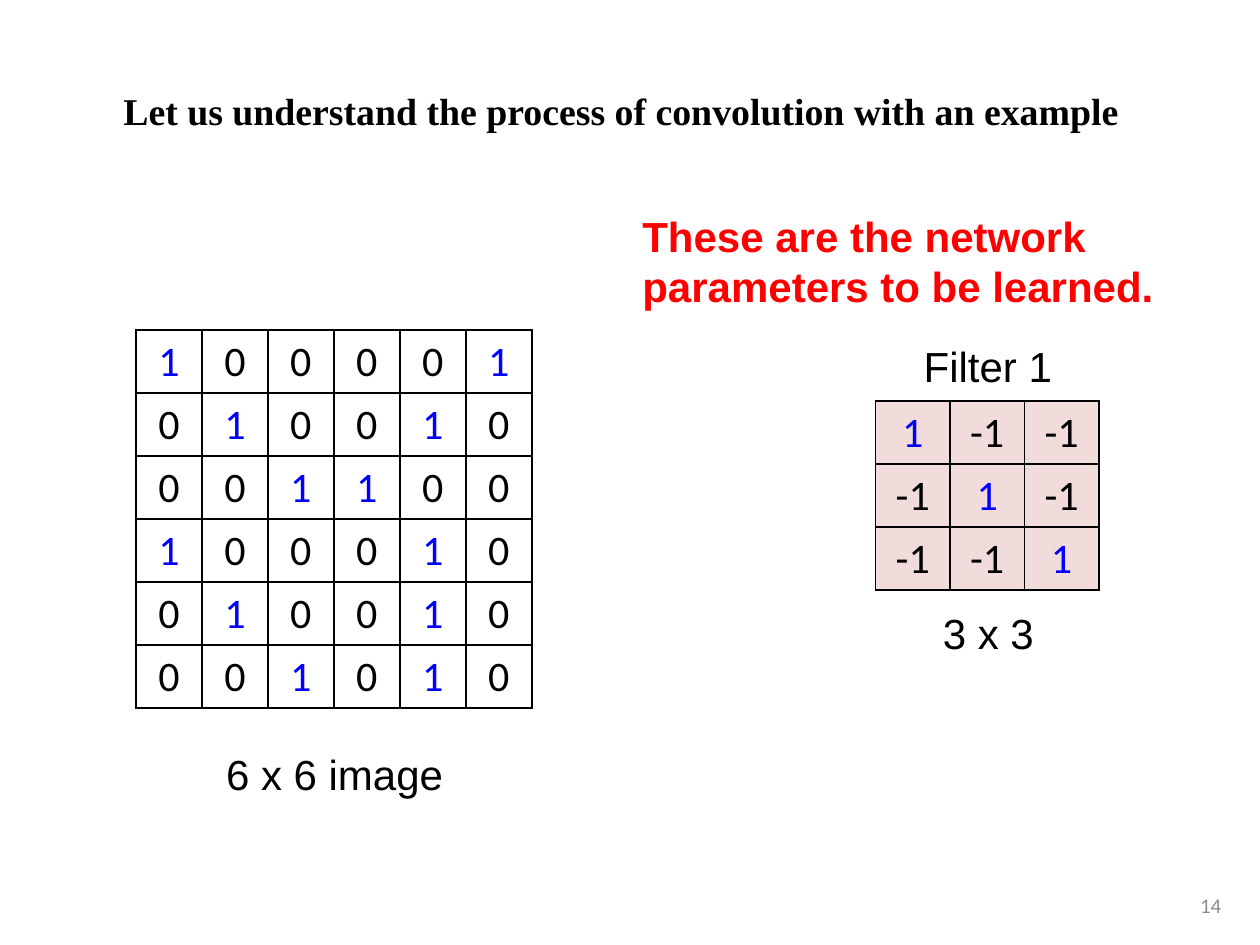
"""Build a slide that shows an image grid and a convolution filter."""
from lxml import etree
from pptx import Presentation
from pptx.dml.color import RGBColor
from pptx.enum.text import MSO_ANCHOR, PP_ALIGN
from pptx.oxml.ns import qn
from pptx.util import Cm, Pt

LEFT, MID, RIGHT = PP_ALIGN.LEFT, PP_ALIGN.CENTER, PP_ALIGN.RIGHT
TOP, HALF = MSO_ANCHOR.TOP, MSO_ANCHOR.MIDDLE
BLACK, BLUE, RED, GREY, PINK = "000000", "0000FF", "FF0000", "8C8C8C", "F2DCDB"


def style(par, text, size, face, color, align, bold=False):
    par.alignment = align
    par.font.size = Pt(size)
    par.font.name = face
    par.font.bold = bold
    par.font.color.rgb = RGBColor.from_string(color)
    par.add_run().text = text


def label(box, text, size=24, face="Arial", color=BLACK, align=MID,
          bold=False, anchor=TOP):
    frame = slide.shapes.add_textbox(*map(Cm, box)).text_frame
    frame.word_wrap = True
    frame.vertical_anchor = anchor
    style(frame.paragraphs[0], text, size, face, color, align, bold)
    return frame.paragraphs[0]


deck = Presentation()
deck.slide_width, deck.slide_height = Cm(25.4), Cm(19.05)
slide = deck.slides.add_slide(deck.slide_layouts[6])

title = label((1.75, 1.02, 21.9, 1.9),
              "Let us understand the process of convolution with an example",
              21.6, "Times New Roman", bold=True, anchor=HALF)
tail = title.add_run()
tail.text = " "
tail.font.size = Pt(39.6)

image = ["1 0 0 0 0 1", "0 1 0 0 1 0", "0 0 1 1 0 0",
         "1 0 0 0 1 0", "0 1 0 0 1 0", "0 0 1 0 1 0"]
kernel = ["1 -1 -1", "-1 1 -1", "-1 -1 1"]
grids = [(image, 2.74, 6.65, 1.33, None), (kernel, 17.65, 8.08, 1.5, PINK)]

for rows, left, top, wide, fill in grids:
    count = len(rows)
    table = slide.shapes.add_table(count, count, Cm(left), Cm(top),
                                   Cm(wide * count), Cm(1.27 * count)).table
    table.first_row = table.horz_banding = False
    for row, line in enumerate(rows):
        for col, value in enumerate(line.split()):
            cell = table.cell(row, col)
            props = cell._tc.get_or_add_tcPr()
            for side in ("a:lnL", "a:lnR", "a:lnT", "a:lnB"):
                edge = etree.SubElement(props, qn(side), w="12700")
                paint = etree.SubElement(edge, qn("a:solidFill"))
                etree.SubElement(paint, qn("a:srgbClr"), val=BLACK)
            if fill:
                cell.fill.solid()
                cell.fill.fore_color.rgb = RGBColor.from_string(fill)
            else:
                cell.fill.background()
            style(cell.text_frame.paragraphs[0], value, 24, "Calibri",
                  BLUE if value == "1" else BLACK, MID)

label((3.48, 14.96, 6.53, 1.27), "6 x 6 image")
label((17.91, 6.73, 4.01, 1.3), "Filter 1")
label((12.7, 4.11, 11, 2.31), "These are the network parameters to be learned.",
      color=RED, align=LEFT, bold=True)
label((16.66, 12.12, 6.53, 1.27), "3 x 3")
label((18.95, 17.73, 5.92, 1.02), "14", 12, "Calibri", GREY, RIGHT, anchor=HALF)

deck.save("out.pptx")
